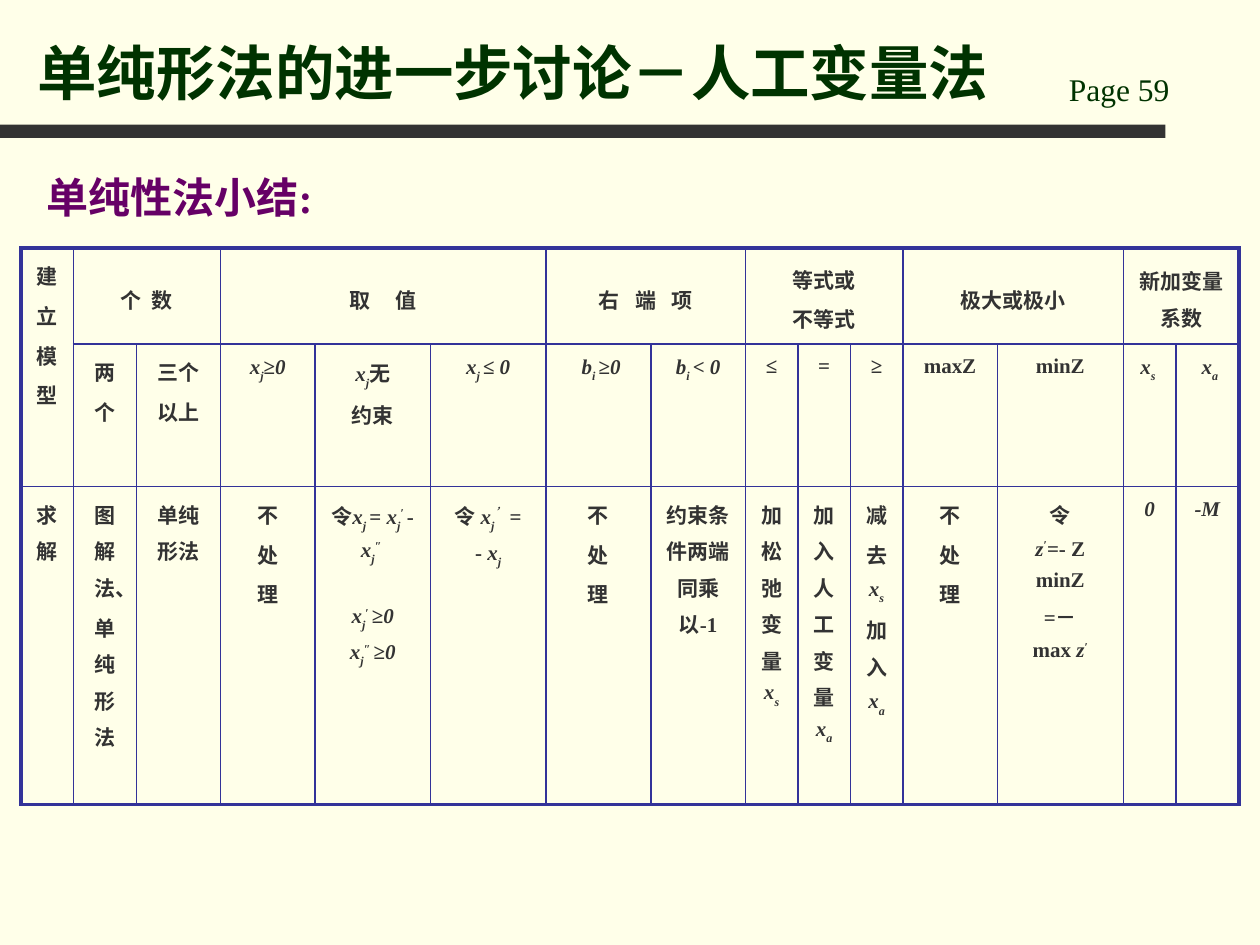
from dataclasses import dataclass

from lxml import etree
from pptx import Presentation
from pptx import util as u
from pptx.dml.color import RGBColor
from pptx.enum import shapes, text
from pptx.oxml import ns

PX = 9525  # EMU in one px, 96 px to the inch


@dataclass(frozen=True)
class Theme:
    font: str = "Times New Roman"
    back: str = "FFFFE9"
    bar: str = "333333"
    ink: str = "333333"
    head: str = "003300"
    lead: str = "660066"
    rule: str = "333399"
    title: int = 34
    sub: int = 24
    page: int = 18
    cell: int = 12
    thin: float = 1
    thick: float = 2.25
    gap: int = 19


class Deck:
    def __init__(self, theme):
        self.theme = theme
        self.prs = Presentation()
        self.prs.slide_width, self.prs.slide_height = 960 * PX, 720 * PX
        self.slide = self.prs.slides.add_slide(self.prs.slide_layouts[1])
        fill = self.slide.background.fill
        fill.solid()
        fill.fore_color.rgb = RGBColor.from_string(theme.back)

    def style(self, run, size, color, bold=True):
        font = run.font
        font.name, font.size, font.bold = self.theme.font, u.Pt(size), bold
        font.color.rgb = RGBColor.from_string(color)

    def loose(self, para, size):
        para.line_spacing = 1.2
        para.space_before = u.Pt(size * 0.15)

    def place(self, shape, box):
        shape.left, shape.top, shape.width, shape.height = (n * PX for n in box)

    def title(self, words, box):
        shape = self.slide.shapes.title
        self.place(shape, box)
        frame = shape.text_frame
        frame.text = words
        frame.auto_size = text.MSO_AUTO_SIZE.NONE
        frame.vertical_anchor = text.MSO_ANCHOR.BOTTOM
        para = frame.paragraphs[0]
        para.alignment = text.PP_ALIGN.LEFT
        self.style(para.runs[0], self.theme.title, self.theme.head)

    def body(self, words, box):
        shape = self.slide.placeholders[1]
        self.place(shape, box)
        frame = shape.text_frame
        frame.text = words
        frame.auto_size = text.MSO_AUTO_SIZE.NONE
        para = frame.paragraphs[0]
        self.loose(para, self.theme.sub)
        props = para._p.get_or_add_pPr()
        props.set("marL", "0")
        props.set("indent", "0")
        etree.SubElement(props, ns.qn("a:buNone"))
        self.style(para.runs[0], self.theme.sub, self.theme.lead)

    def bar(self, box):
        shape = self.slide.shapes.add_shape(
            shapes.MSO_SHAPE.RECTANGLE, *(n * PX for n in box))
        shape.shadow.inherit = False
        shape.fill.solid()
        shape.fill.fore_color.rgb = RGBColor.from_string(self.theme.bar)
        shape.line.fill.background()

    def label(self, words, box):
        frame = self.slide.shapes.add_textbox(*(n * PX for n in box)).text_frame
        frame.word_wrap = True
        frame.text = words
        self.style(frame.paragraphs[0].runs[0], self.theme.page, self.theme.head, False)

    def rich(self, para, marks):
        """Add runs; ~ toggles italic, _ subscript, ^ superscript."""
        on = {"~": False, "_": False, "^": False}
        part = ""
        for char in marks + "~":
            if char not in on:
                part += char
                continue
            if part:
                run = para.add_run()
                run.text = part
                self.style(run, self.theme.cell, self.theme.ink)
                run.font.italic = on["~"]
                if on["_"] or on["^"]:
                    base = "-30000" if on["_"] else "30000"
                    run._r.get_or_add_rPr().set("baseline", base)
            part = ""
            on[char] = not on[char]

    def entry(self, cell, marks):
        """Fill a cell; a line that starts with | gets a wide gap above."""
        cell.text_frame.text = marks
        for para in cell.text_frame.paragraphs:
            line = para.text
            para.clear()
            para.alignment = text.PP_ALIGN.CENTER
            self.loose(para, self.theme.cell)
            if line.startswith("|"):
                para.space_before = u.Pt(self.theme.gap)
            self.rich(para, line.lstrip("|"))

    def edge(self, cell, outer):
        """Draw the four borders; outer holds the sides on the table's rim."""
        cell.fill.background()
        props = cell._tc.get_or_add_tcPr()
        for spot, side in enumerate("LRTB"):
            width = self.theme.thick if side in outer else self.theme.thin
            line = etree.Element(ns.qn("a:ln" + side), w=str(u.Pt(width)))
            fill = etree.SubElement(line, ns.qn("a:solidFill"))
            etree.SubElement(fill, ns.qn("a:srgbClr"), val=self.theme.rule)
            props.insert(spot, line)

    def table(self, spot, cols, rows, heads, cells):
        left, top = spot
        grid = self.slide.shapes.add_table(
            len(rows), len(cols), left * PX, top * PX,
            sum(cols) * PX, sum(rows) * PX).table
        grid.first_row = grid.horz_banding = False
        for col, width in zip(grid.columns, cols):
            col.width = width * PX
        for row, height in zip(grid.rows, rows):
            row.height = height * PX

        col = 0
        for marks, wide, tall, track in heads:
            cell = grid.cell(0, col)
            cell.merge(grid.cell(tall - 1, col + wide - 1))
            self.entry(cell, marks)
            if tall == 1:
                cell.vertical_anchor = text.MSO_ANCHOR.MIDDLE
            if track:
                for run in cell.text_frame.paragraphs[0].runs:
                    run._r.get_or_add_rPr().set("spc", str(track))
            col += wide
        for r, line in enumerate(cells, 1):
            for c, marks in enumerate(line, len(cols) - len(line)):
                self.entry(grid.cell(r, c), marks)

        for r in range(len(rows)):
            for c in range(len(cols)):
                cell = grid.cell(r, c)
                wide = cell.span_width if cell.is_merge_origin else 1
                rim = {"L": c == 0, "R": c + wide == len(cols),
                       "T": r == 0, "B": r + 1 == len(rows)}
                self.edge(cell, [side for side, hit in rim.items() if hit])


UNIT = 8  # column widths are whole multiples of this
COLS = [n * UNIT for n in (5, 6, 8, 9, 11, 11, 10, 9, 5, 5, 5, 9, 12, 5, 6)]
ROWS = [73, 77, 242]
# words, columns, rows, letter spacing
HEADS = [
    ("建\n立\n模\n型", 1, 2, 0), ("个 数", 2, 1, 150), ("取 值", 3, 1, 600),
    ("右 端 项", 2, 1, 300), ("等式或\n不等式", 3, 1, 0),
    ("极大或极小", 2, 1, 0), ("新加变量系数", 2, 1, 0),
]
KEEP = "不\n处\n理"
CASES = [
    "两\n个", "三个\n以上", "~x_j_~≥~0", "~x_j_~无\n约束", "~x_j _~≤~ 0",
    " ~b_i _~≥~0", "~b_i _~<~ 0", "≤", "=", "≥", "maxZ", "minZ",
    "~x_s _", " ~x_a_",
]
STEPS = [
    "求解", "图解法、\n单纯形法", "单纯形法", KEEP,
    "令~x_j _~= ~x_j_~^′ ^- ~x_j_~^″ ^\n|~x_j_~^′ ^≥~0\n~x_j_~^″ ^≥~0",
    "令 ~x_j_^’ ^~=\n- ~x_j_", KEEP, "约束条件两端同乘以-1",
    "加松弛变量~x_s_", "加入人工变量~x_a_", "减\n去\n~x_s_\n加入\n~x_a_",
    KEEP, "令\n~z~^′^=- Z\nminZ\n=－\nmax ~z~^′^", "~0", "~-M",
]


def main():
    deck = Deck(Theme())
    deck.bar((0, 95, 888, 10))
    deck.label("Page 59", (805, 49, 136, 38))
    deck.title("单纯形法的进一步讨论－人工变量法", (19, 12, 771, 75))
    deck.body("单纯性法小结:", (26, 118, 854, 60))
    deck.table((16, 189), COLS, ROWS, HEADS, [CASES, STEPS])
    deck.prs.save("out.pptx")


if __name__ == "__main__":
    main()
